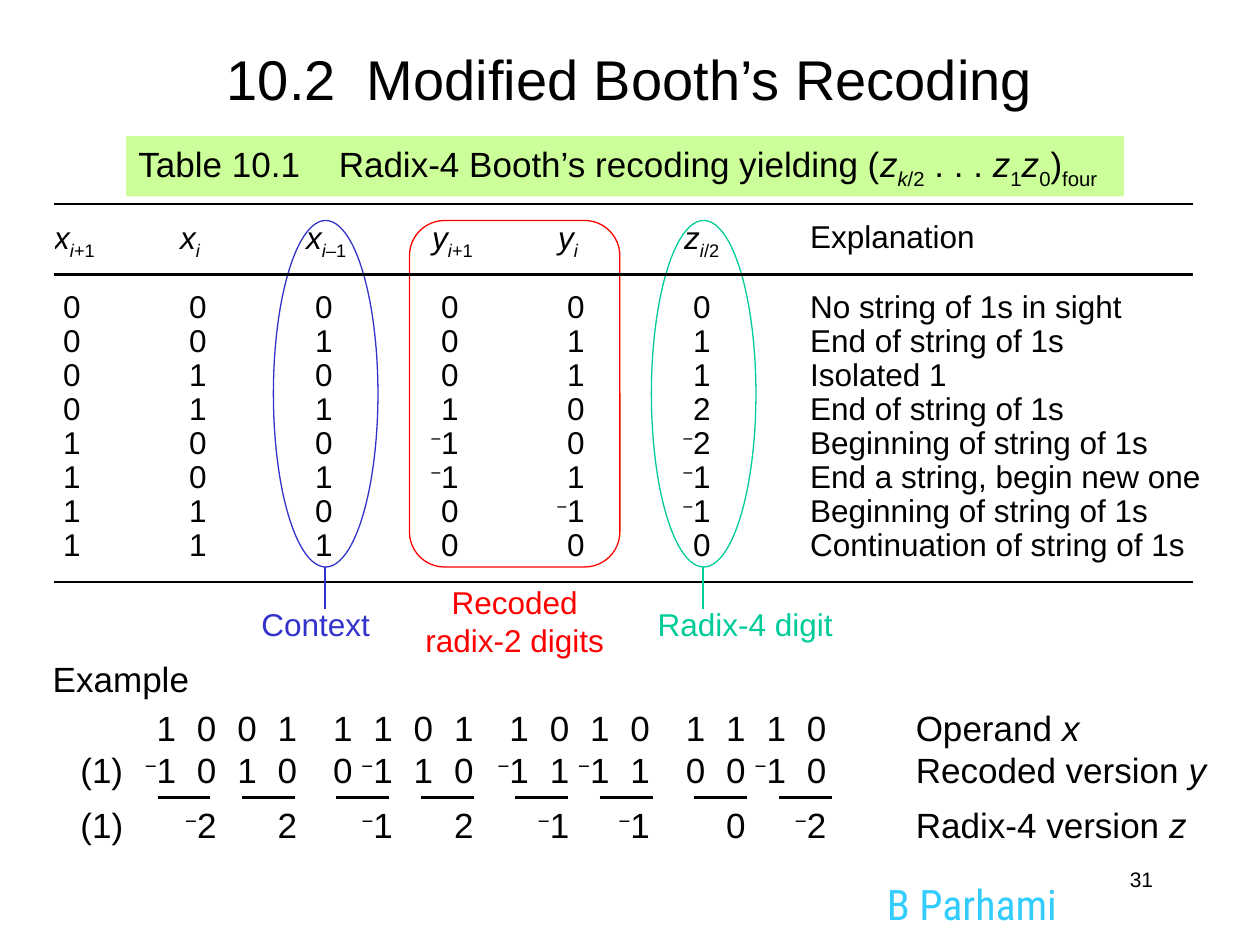
from pptx import Presentation
from pptx.dml.color import RGBColor
from pptx.enum import shapes, text
from pptx.oxml.ns import qn
from pptx.util import Inches, Pt
from lxml import etree

BLACK = RGBColor(0x00, 0x00, 0x00)
LIME = RGBColor(0xCC, 0xFF, 0x99)
BLUE = RGBColor(0x33, 0x33, 0xCC)
RED = RGBColor(0xFF, 0x00, 0x00)
GREEN = RGBColor(0x00, 0xCC, 0x99)
SKY = RGBColor(0x33, 0xCC, 0xFF)
LEFT, CENTER, RIGHT = text.PP_ALIGN.LEFT, text.PP_ALIGN.CENTER, text.PP_ALIGN.RIGHT
BASELINES = {"_": "-25000", "^": "30000"}


def write(paragraph, markup, size, color=BLACK, align=LEFT, stops=(), font="Arial"):
    """Runs are parted by |; a leading * is italic, _ subscript, ^ superscript."""
    paragraph.alignment = align
    if stops:
        tab_list = etree.SubElement(paragraph._p.get_or_add_pPr(), qn("a:tabLst"))
        for position, side in stops:
            etree.SubElement(tab_list, qn("a:tab"), pos=str(Inches(position)), algn=side)
    paragraph.font.name = font
    paragraph.font.size = Pt(size)
    paragraph.font.color.rgb = color
    for part in markup.replace("−", "|^−|").split("|"):
        if not part:
            continue
        run = paragraph.add_run()
        if part[0] == "*":
            run.font.italic = True
            part = part[1:]
        if part[0] in BASELINES:
            run._r.get_or_add_rPr().set("baseline", BASELINES[part[0]])
            part = part[1:]
        run.text = part


def add_text(left, top, width, height):
    box = slide.shapes.add_textbox(Inches(left), Inches(top), Inches(width), Inches(height))
    box.text_frame.word_wrap = True
    return box.text_frame


presentation = Presentation()
presentation.slide_width = Inches(10)
presentation.slide_height = Inches(7.5)
slide = presentation.slides.add_slide(presentation.slide_layouts[5])

# Title
title = slide.shapes.title
title.left, title.top = Inches(0.75), Inches(0.33)
title.width, title.height = Inches(8.5), Inches(0.58)
title.text_frame.vertical_anchor = text.MSO_ANCHOR.MIDDLE
write(title.text_frame.paragraphs[0], "10.2  Modified Booth’s Recoding", 32, align=CENTER)

# Table caption
caption = slide.shapes.add_shape(shapes.MSO_SHAPE.RECTANGLE, Inches(1), Inches(1.08),
                                 Inches(7.92), Inches(0.48))
caption.shadow.inherit = False
caption.fill.solid()
caption.fill.fore_color.rgb = LIME
caption.line.fill.background()
caption.text_frame.vertical_anchor = text.MSO_ANCHOR.TOP
write(caption.text_frame.paragraphs[0],
      "Table 10.1\tRadix-4 Booth’s recoding yielding (|*z|*_k|_/2| . . . |*z|_1|*z|_0|)|_four",
      20, stops=[(1.59, "l")])

# Recoding table
rows = [
    ["*x|*_i|_+1", "*x|*_i", "*x|*_i|_–1", "*y|*_i|_+1", "*y|*_i", "*z|*_i|_/2", "Explanation"],
    ["0", "0", "0", "0", "0", "0", "No string of 1s in sight"],
    ["0", "0", "1", "0", "1", "1", "End of string of 1s"],
    ["0", "1", "0", "0", "1", "1", "Isolated 1"],
    ["0", "1", "1", "1", "0", "2", "End of string of 1s"],
    ["1", "0", "0", "−1", "0", "−2", "Beginning of string of 1s"],
    ["1", "0", "1", "−1", "1", "−1", "End a string, begin new one"],
    ["1", "1", "0", "0", "−1", "−1", "Beginning of string of 1s"],
    ["1", "1", "1", "0", "0", "0", "Continuation of string of 1s"],
]
column_widths = [0.9] + [1] * 5 + [3.22]
row_heights = [0.56, 0.42] + [0.27] * 6 + [0.4]
table = slide.shapes.add_table(len(rows), len(column_widths), Inches(0.43), Inches(1.62),
                               Inches(sum(column_widths)), Inches(sum(row_heights))).table
table.first_row = table.horz_banding = False
for column, width in zip(table.columns, column_widths):
    column.width = Inches(width)
for row, height in zip(table.rows, row_heights):
    row.height = Inches(height)
for r, row in enumerate(rows):
    for c, content in enumerate(row):
        cell = table.cell(r, c)
        cell.fill.background()
        is_digit = r > 0 and c < 6
        cell.margin_top = 0
        cell.margin_bottom = Inches(0.02 if r == 1 else 0)
        cell.margin_left = Inches(0 if c == 0 or is_digit else 0.1)
        cell.margin_right = Inches(0.69 if is_digit else 0)
        cell.vertical_anchor = (text.MSO_ANCHOR.MIDDLE if r == 0 else
                                text.MSO_ANCHOR.BOTTOM if r == 1 else text.MSO_ANCHOR.TOP)
        paragraph = cell.text_frame.paragraphs[0]
        paragraph.line_spacing = 0.9
        write(paragraph, content, 18, align=RIGHT if is_digit else LEFT)

# Outlines around columns, with their labels
OVAL, ROUNDED = shapes.MSO_SHAPE.OVAL, shapes.MSO_SHAPE.ROUNDED_RECTANGLE
for kind, left, width, color, label, label_left, label_top, label_height in [
    (OVAL, 2.17, 0.83, BLUE, "Context", 1.67, 4.75, 0.4),
    (ROUNDED, 3.25, 1.67, RED, "Recoded radix-2 digits", 3.25, 4.58, 0.7),
    (OVAL, 5.17, 0.83, GREEN, "Radix-4 digit", 5.08, 4.75, 0.4),
]:
    outline = slide.shapes.add_shape(kind, Inches(left), Inches(1.75), Inches(width), Inches(2.75))
    outline.shadow.inherit = False
    outline.fill.background()
    outline.line.color.rgb = color
    outline.line.width = Pt(0.75)
    frame = add_text(label_left, label_top, 1.67, label_height)
    write(frame.paragraphs[0], label, 18, color, CENTER)

# Table rules, label stems and underlines of digit pairs
lines = [(0.43, y, 9.47, y, BLACK, 1.5) for y in (1.62, 2.18, 4.62)]
lines += [(x, 4.5, x, 4.83, color, 0.75) for x, color in ((2.58, BLUE), (5.58, GREEN))]
for group in range(4):
    for pair in range(2):
        x = 1.25 + 1.42 * group + 0.67 * pair
        lines.append((x, 6.33, x + 0.42, 6.33, BLACK, 1.5))
for x1, y1, x2, y2, color, weight in lines:
    line = slide.shapes.add_connector(shapes.MSO_CONNECTOR.STRAIGHT, Inches(x1), Inches(y1),
                                      Inches(x2), Inches(y2))
    line.line.color.rgb = color
    line.line.width = Pt(weight)
    etree.SubElement(line._element.spPr, qn("a:effectLst"))

# Worked example: four groups of four digits on right-aligned tab stops
carry_stop, label_stop = (0.71, "r"), (7.0, "l")
digit_stops = [(1.13 + 1.4 * group + 0.32 * i, "r") for group in range(4) for i in range(4)]
stops = [carry_stop] + digit_stops + [label_stop]
pair_stops = [carry_stop] + digit_stops[1::2] + [label_stop]
example = add_text(0.17, 5.17, 9.67, 1.17)
write(example.paragraphs[0], "\tExample", 20, stops=[(0.15, "l")])
for carry, digits, label, gap in [
    ("", "1 0 0 1 1 1 0 1 1 0 1 0 1 1 1 0", "Operand |*x", 4),
    ("(1)", "−1 0 1 0 0 −1 1 0 −1 1 −1 1 0 0 −1 0", "Recoded version |*y", 0),
]:
    paragraph = example.add_paragraph()
    paragraph.space_before = Pt(gap)
    write(paragraph, "\t".join(["", carry, *digits.split(), label]), 20, stops=stops)
radix_4 = add_text(0.17, 6.33, 9.58, 0.44)
write(radix_4.paragraphs[0],
      "\t".join(["", "(1)", *"−2 2 −1 2 −1 −1 0 −2".split(), "Radix-4 version |*z"]),
      20, stops=pair_stops)

# Footer
author = add_text(6.94, 6.92, 1.7, 0.42)
write(author.paragraphs[0], "B Parhami", 24, SKY, font="Roboto Condensed")
write(add_text(7.17, 6.83, 2.08, 0.5).paragraphs[0], "31", 12, align=RIGHT)

presentation.save("out.pptx")
